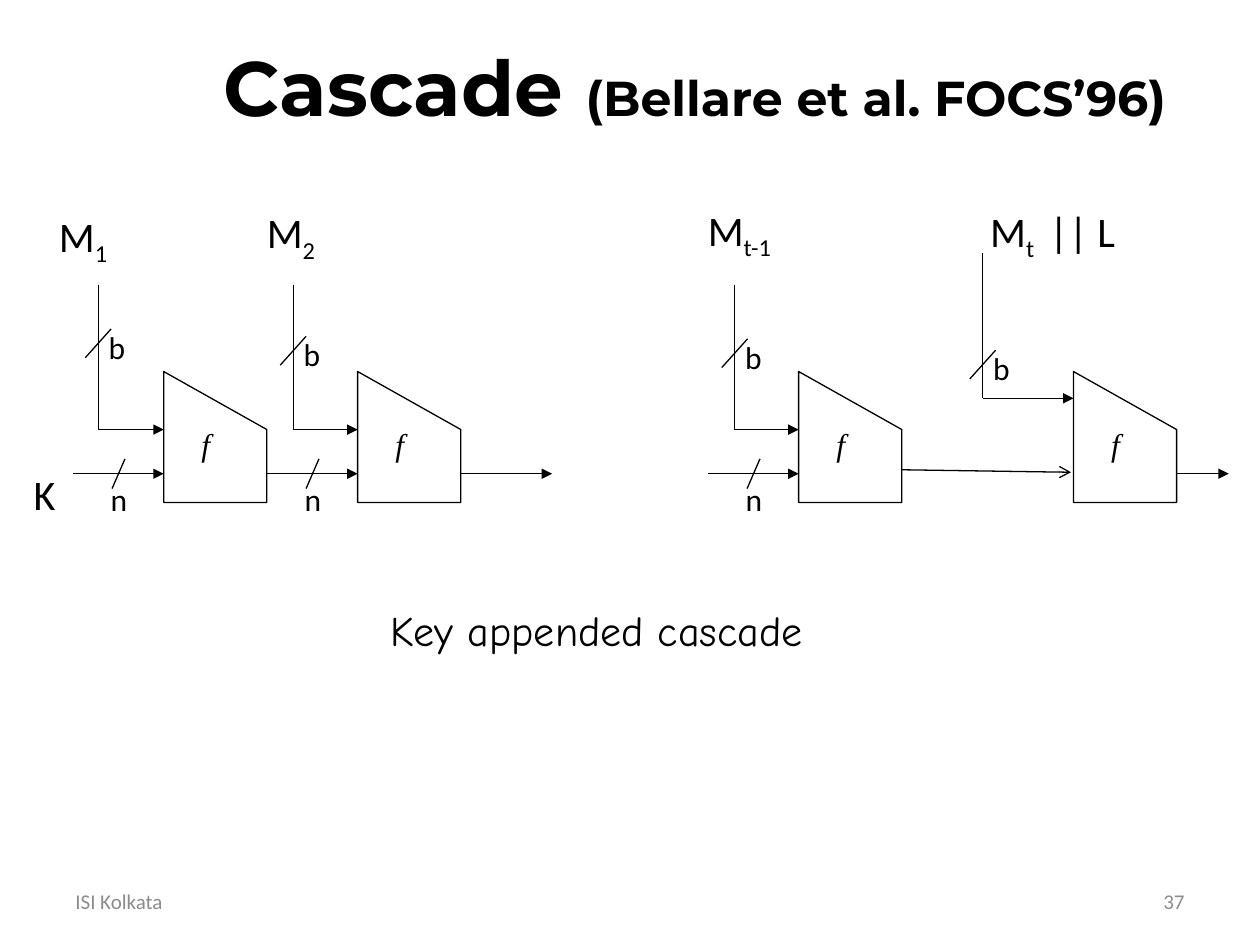
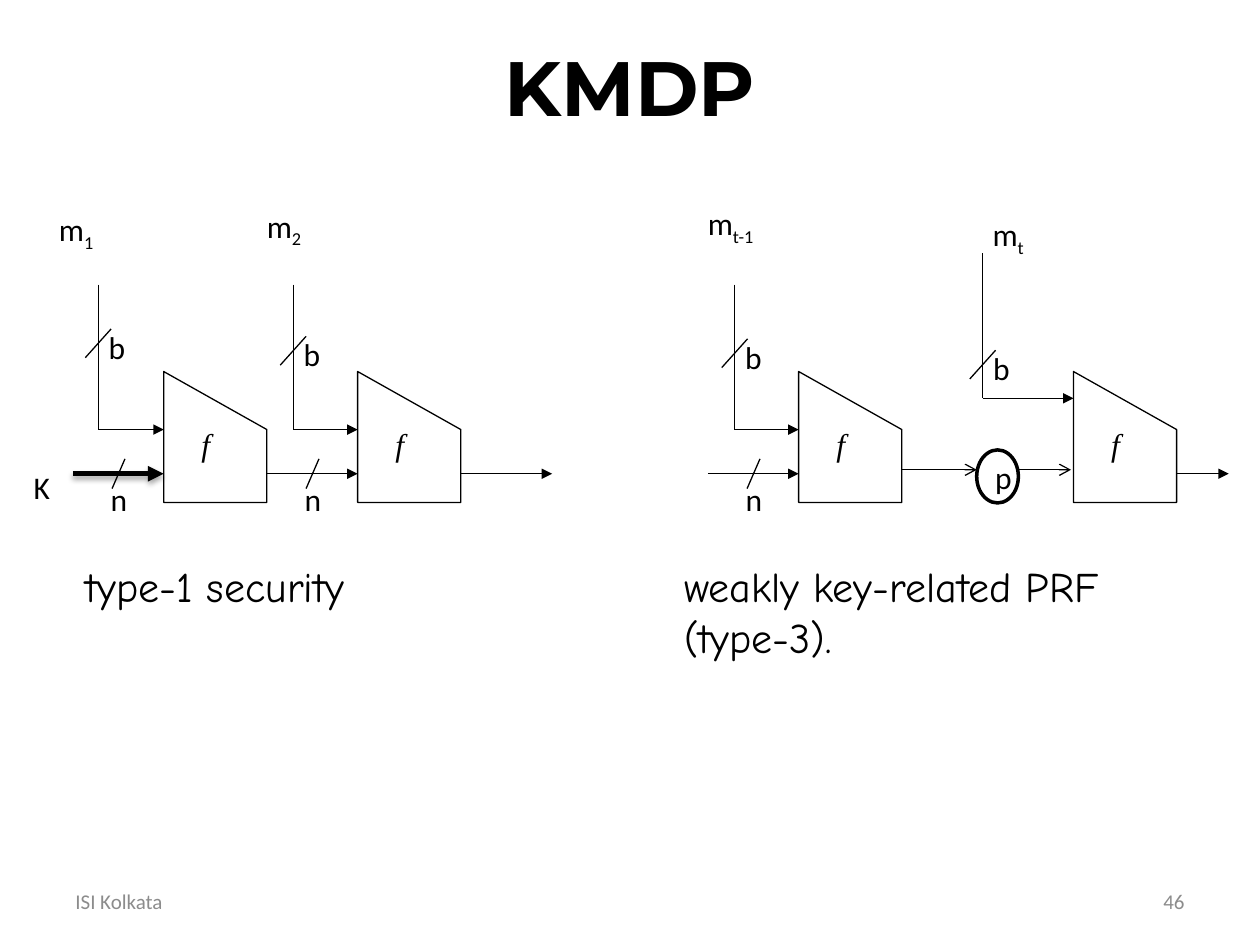
from lxml import etree
from pptx import Presentation
from pptx.dml.color import RGBColor
from pptx.enum.shapes import MSO_CONNECTOR, MSO_SHAPE
from pptx.enum.text import MSO_ANCHOR, MSO_AUTO_SIZE, PP_ALIGN
from pptx.oxml.ns import qn
from pptx.util import Cm, Pt

STRAIGHT = MSO_CONNECTOR.STRAIGHT
OVAL = MSO_SHAPE.OVAL
TOP, MIDDLE = MSO_ANCHOR.TOP, MSO_ANCHOR.MIDDLE
NO_FIT, GROW = MSO_AUTO_SIZE.NONE, MSO_AUTO_SIZE.SHAPE_TO_FIT_TEXT
LEFT, CENTER, RIGHT = PP_ALIGN.LEFT, PP_ALIGN.CENTER, PP_ALIGN.RIGHT

COLORS = {name: RGBColor.from_string(value) for name, value in {
    "ink": "000000", "paper": "FFFFFF", "footer": "8C8C8C"}.items()}
TITLE_FONT, BODY_FONT = "Montserrat", "Calibri"
MATH_FONT, CAPTION_FONT = "Times New Roman", "Comic Neue"

# Diagram geometry in cm
BLOCK_WIDTH, BLOCK_TOP, BLOCK_SHOULDER, BLOCK_BOTTOM = 2.08, 7.49, 8.66, 10.13
CHAIN_Y, OPEN_ARROW_Y, CHAIN_LENGTH = 9.55, 9.47, 1.83
# Per block: left, message line x, line top, line bottom, centre of the b tick
BLOCKS = [
    (3.3, 1.98, 5.74, 8.66, 6.92),
    (7.21, 5.91, 5.74, 8.66, 7.07),
    (16.1, 14.81, 5.74, 8.66, 7.12),
    (21.64, 19.81, 5.11, 8.03, 7.35),
]
CHAIN_STARTS = [1.47, 5.38, 9.3, 14.27]
LAST_BLOCK_RIGHT = BLOCKS[3][0] + BLOCK_WIDTH
THIRD_BLOCK_RIGHT = BLOCKS[2][0] + BLOCK_WIDTH

# Message labels: left, top, width, text, subscript, rest
SLIDES = [
    {
        "title": [("Cascade ", 44), ("(Bellare et al. FOCS’96)", 28)],
        "title_indent": 2.62, "number": "37", "label_size": 24,
        "labels": [(0.94, 4.11, 1.52, "M", "1", ""),
                   (5.13, 4.04, 1.52, "M", "2", ""),
                   (14.02, 3.99, 1.9, "M", "t-1", ""),
                   (19.71, 4.01, 3.15, "M", "t ", " || L")],
        "captions": [(7.62, 12.07, 9.35, "Key appended cascade", False)],
        "key_weight": 0.75, "has_permutation": False,
    },
    {
        "title": [("KMDP", 44)],
        "title_indent": 0, "number": "46", "label_size": 18,
        "labels": [(0.94, 4.11, 1.52, "m", "1", ""),
                   (5.13, 4.04, 1.57, "m", "2", ""),
                   (14.02, 3.99, 1.9, "m", "t-1", ""),
                   (19.76, 4.22, 1.42, "m", "t", "")],
        "captions": [(13.54, 11.18, 10.8, "weakly key-related PRF (type-3).", True),
                     (1.47, 11.18, 6.55, "type-1 security", False)],
        "key_weight": 3, "has_permutation": True,
    },
]


def add_text(slide, left, top, width, text, size, font=BODY_FONT, color="ink",
             height=1.3, wrap=False, align=LEFT):
    box = slide.shapes.add_textbox(Cm(left), Cm(top), Cm(width), Cm(height))
    frame = box.text_frame
    frame.word_wrap = wrap
    frame.auto_size = GROW
    paragraph = frame.paragraphs[0]
    paragraph.text = text
    paragraph.alignment = align
    paragraph.font.size = Pt(size)
    paragraph.font.name = font
    paragraph.font.color.rgb = COLORS[color]
    return box


def add_line(slide, x1, y1, x2, y2, head=None, weight=0.75):
    line = slide.shapes.add_connector(STRAIGHT, Cm(x1), Cm(y1), Cm(x2), Cm(y2))
    line.line.color.rgb = COLORS["ink"]
    line.line.width = Pt(weight)
    if head:
        etree.SubElement(line.line._get_or_add_ln(), qn("a:tailEnd"), type=head)
    properties = line._element.spPr
    return etree.SubElement(properties, qn("a:effectLst"))


presentation = Presentation()
presentation.slide_width, presentation.slide_height = Cm(25.4), Cm(19.05)

for content in SLIDES:
    slide = presentation.slides.add_slide(presentation.slide_layouts[5])

    # Title
    title = slide.shapes.title
    title.left, title.top, title.width, title.height = Cm(1.27), Cm(0.13), Cm(22.86), Cm(3.18)
    frame = title.text_frame
    frame.auto_size = NO_FIT
    frame.vertical_anchor = MIDDLE
    frame.margin_left = Cm(0.25 + content["title_indent"])
    paragraph = frame.paragraphs[0]
    paragraph.alignment = CENTER
    paragraph.font.name = TITLE_FONT
    paragraph.font.bold = True
    paragraph.font.color.rgb = COLORS["ink"]
    for text, size in content["title"]:
        run = paragraph.add_run()
        run.text = text
        run.font.size = Pt(size)

    # Compression blocks with their message inputs
    for left, message_x, message_top, message_bottom, tick_y in BLOCKS:
        right = left + BLOCK_WIDTH
        builder = slide.shapes.build_freeform(Cm(left), Cm(BLOCK_TOP))
        builder.add_line_segments([(Cm(right), Cm(BLOCK_SHOULDER)),
                                   (Cm(right), Cm(BLOCK_BOTTOM)),
                                   (Cm(left), Cm(BLOCK_BOTTOM))], close=True)
        block = builder.convert_to_shape()
        block.shadow.inherit = False
        block.fill.background()
        block.line.color.rgb = COLORS["ink"]
        block.line.width = Pt(0.75)
        frame = block.text_frame
        frame.vertical_anchor = TOP
        frame.margin_left, frame.margin_top = Cm(0.76), Cm(1.07)
        paragraph = frame.paragraphs[0]
        paragraph.text = "f"
        paragraph.alignment = LEFT
        paragraph.font.name = MATH_FONT
        paragraph.font.size = Pt(18)
        paragraph.font.italic = True
        paragraph.font.color.rgb = COLORS["ink"]

        add_line(slide, message_x, message_top, message_x, message_bottom)
        add_line(slide, message_x, message_bottom, left, message_bottom, "triangle")
        add_line(slide, message_x + 0.26, tick_y - 0.29, message_x - 0.26, tick_y + 0.29)
        add_text(slide, message_x - 0.04, tick_y - 0.44, 1.07, "b", 18)

    # Chaining arrows; the first one carries the key
    for start in CHAIN_STARTS[1:]:
        add_line(slide, start, CHAIN_Y, start + CHAIN_LENGTH, CHAIN_Y, "triangle")
    add_line(slide, LAST_BLOCK_RIGHT, CHAIN_Y, 24.77, CHAIN_Y, "triangle")
    key_effects = add_line(slide, CHAIN_STARTS[0], CHAIN_Y, BLOCKS[0][0], CHAIN_Y,
                           "triangle", content["key_weight"])
    if content["has_permutation"]:
        shadow = etree.SubElement(key_effects, qn("a:outerShdw"), blurRad="40000",
                                  dist="23000", dir="5400000", rotWithShape="0")
        shadow_color = etree.SubElement(shadow, qn("a:srgbClr"), val=str(COLORS["ink"]))
        etree.SubElement(shadow_color, qn("a:alpha"), val="35000")

    # Width ticks on the chaining inputs
    for left, *_ in BLOCKS[:3]:
        tick_x = left - 0.91
        add_line(slide, tick_x + 0.13, CHAIN_Y - 0.3, tick_x - 0.13, CHAIN_Y + 0.3)
        add_text(slide, left - 1.32, CHAIN_Y, 1.07, "n", 18)

    # Key and message labels
    add_text(slide, 0.43, 9.32, 1, "K", content["label_size"])
    for left, top, width, letter, subscript, rest in content["labels"]:
        label = add_text(slide, left, top, width, letter, content["label_size"])
        paragraph = label.text_frame.paragraphs[0]
        run = paragraph.add_run()
        run.text = subscript
        run.font._element.set("baseline", "-25000")
        if rest:
            paragraph.add_run().text = rest

    # Link between the last two blocks
    link_end = BLOCKS[3][0] - 0.05
    if content["has_permutation"]:
        circle = slide.shapes.add_shape(OVAL, Cm(19.69), Cm(9.07), Cm(0.84), Cm(1.07))
        circle.shadow.inherit = False
        circle.fill.solid()
        circle.fill.fore_color.rgb = COLORS["paper"]
        circle.line.color.rgb = COLORS["ink"]
        circle.line.width = Pt(2)
        circle.text_frame.vertical_anchor = MIDDLE
        paragraph = circle.text_frame.paragraphs[0]
        paragraph.text = "p"
        paragraph.alignment = CENTER
        paragraph.font.name = BODY_FONT
        paragraph.font.size = Pt(18)
        paragraph.font.color.rgb = COLORS["ink"]
        add_line(slide, THIRD_BLOCK_RIGHT, OPEN_ARROW_Y, 19.69, OPEN_ARROW_Y, "arrow")
        add_line(slide, 20.53, OPEN_ARROW_Y, link_end, OPEN_ARROW_Y, "arrow")
    else:
        add_line(slide, THIRD_BLOCK_RIGHT, OPEN_ARROW_Y, link_end, OPEN_ARROW_Y + 0.05, "arrow")

    # Captions
    for left, top, width, text, wrap in content["captions"]:
        add_text(slide, left, top, width, text, 24, CAPTION_FONT, wrap=wrap)

    # Footer and slide number
    for left, text, align in [(1.27, "ISI Kolkata", LEFT), (18.21, content["number"], RIGHT)]:
        footer = add_text(slide, left, 17.65, 5.92, text, 12, color="footer",
                          height=1.02, wrap=True, align=align)
        footer.text_frame.auto_size = NO_FIT
        footer.text_frame.vertical_anchor = MIDDLE

presentation.save("out.pptx")
